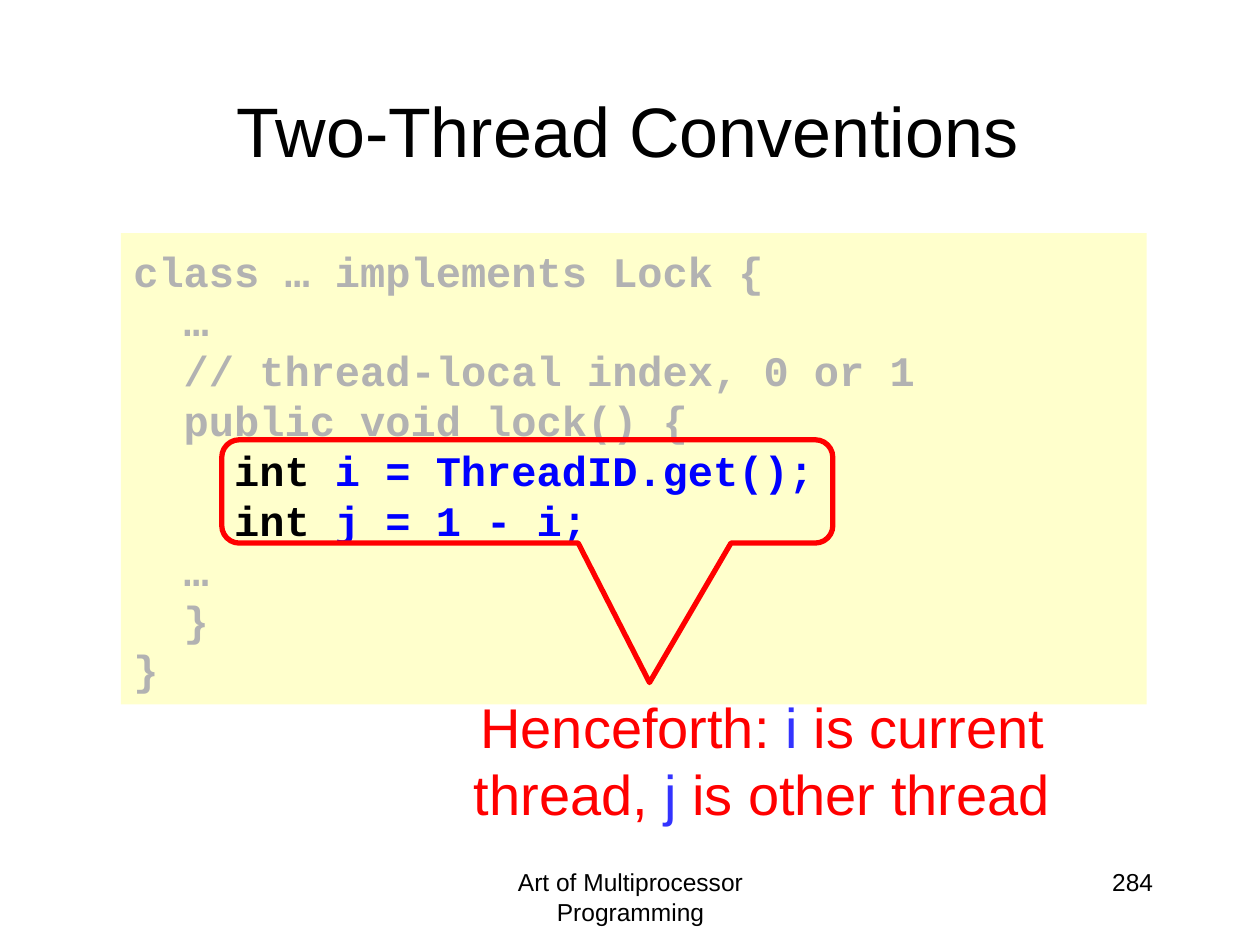
"""Build the Two-Thread Conventions slide."""
from dataclasses import dataclass

import pptx
import pptx.dml.color
import pptx.enum.shapes
import pptx.enum.text
import pptx.util

Inches = pptx.util.Inches
Pt = pptx.util.Pt
RGBColor = pptx.dml.color.RGBColor
Align = pptx.enum.text.PP_ALIGN
Shapes = pptx.enum.shapes.MSO_SHAPE


@dataclass(frozen=True)
class Theme:
    """Colours, fonts and type sizes of the slide."""

    black: RGBColor = RGBColor(0x00, 0x00, 0x00)
    muted: RGBColor = RGBColor(0xB2, 0xB2, 0xB2)
    code: RGBColor = RGBColor(0x00, 0x00, 0xFF)
    variable: RGBColor = RGBColor(0x33, 0x33, 0xFF)
    accent: RGBColor = RGBColor(0xFF, 0x00, 0x00)
    panel: RGBColor = RGBColor(0xFF, 0xFF, 0xCC)
    sans: str = "Arial"
    mono: str = "Courier New"
    title_size: float = 40
    note_size: float = 32
    code_size: float = 24
    footer_size: float = 14


THEME = Theme()

CODE_LINES = [
    [("class … implements Lock {", THEME.muted)],
    [("  …", THEME.muted)],
    [("  // thread-local index, 0 or 1", THEME.muted)],
    [("  public void lock() {", THEME.muted)],
    [("    int", THEME.black), (" i = ThreadID.get();", THEME.code)],
    [("    int ", THEME.black), ("j = 1 - i;", THEME.code)],
    [("  …", THEME.muted)],
    [("  }", THEME.muted)],
    [("}", THEME.muted)],
]

NOTE = [
    ("Henceforth: ", THEME.accent),
    ("i", THEME.variable),
    (" is current thread, ", THEME.accent),
    ("j", THEME.variable),
    (" is other thread", THEME.accent),
]


def place(shape, left, top, width, height):
    """Set the position and size of a shape in inches."""
    shape.left, shape.top = Inches(left), Inches(top)
    shape.width, shape.height = Inches(width), Inches(height)


def write_paragraph(paragraph, pieces, size, font_name, alignment, bold=False, spacing=None):
    """Fill a paragraph with coloured pieces of text."""
    paragraph.alignment = alignment
    if spacing:
        paragraph.line_spacing = Pt(spacing)
    paragraph.font.size = Pt(size)
    paragraph.font.name = font_name
    paragraph.font.bold = bold
    for text, color in pieces:
        run = paragraph.add_run()
        run.text = text
        run.font.color.rgb = color


def add_title(slide, text):
    """Write the title in its placeholder."""
    title = slide.shapes.title
    place(title, 0.73, 0.4, 8.5, 1.25)
    title.text_frame.vertical_anchor = pptx.enum.text.MSO_ANCHOR.MIDDLE
    write_paragraph(title.text_frame.paragraphs[0], [(text, THEME.black)],
                    THEME.title_size, THEME.sans, Align.CENTER)


def add_text(slide, box, pieces, size, alignment, spacing):
    """Add a wrapped one-paragraph text box."""
    frame = slide.shapes.add_textbox(*map(Inches, box)).text_frame
    frame.word_wrap = True
    write_paragraph(frame.paragraphs[0], pieces, size, THEME.sans, alignment, spacing=spacing)


def add_code_panel(slide, box, lines):
    """Add the filled panel that holds the code listing."""
    panel = slide.shapes.add_shape(Shapes.RECTANGLE, *map(Inches, box))
    panel.shadow.inherit = False
    panel.fill.solid()
    panel.fill.fore_color.rgb = THEME.panel
    panel.line.fill.background()
    frame = panel.text_frame
    frame.word_wrap = True
    frame.vertical_anchor = pptx.enum.text.MSO_ANCHOR.TOP
    frame.margin_top = Inches(0.1)
    for index, pieces in enumerate(lines):
        paragraph = frame.add_paragraph() if index else frame.paragraphs[0]
        write_paragraph(paragraph, pieces, THEME.code_size, THEME.mono,
                        Align.LEFT, bold=True, spacing=28.5)


def add_callout(slide, box, adjustments):
    """Add the outlined callout around the highlighted code."""
    callout = slide.shapes.add_shape(Shapes.ROUNDED_RECTANGULAR_CALLOUT, *map(Inches, box))
    callout.shadow.inherit = False
    callout.fill.background()
    callout.line.color.rgb = THEME.accent
    callout.line.width = Pt(3)
    for index, value in enumerate(adjustments):
        callout.adjustments[index] = value


def main():
    """Build and save the presentation."""
    presentation = pptx.Presentation()
    presentation.slide_width, presentation.slide_height = Inches(10), Inches(7.5)
    slide = presentation.slides.add_slide(presentation.slide_layouts[5])
    add_text(slide, (3.42, 6.83, 3.17, 0.5),
             [("Art of Multiprocessor Programming", THEME.black)],
             THEME.footer_size, Align.CENTER, 17)
    add_text(slide, (7.17, 6.83, 2.08, 0.5), [("284", THEME.black)],
             THEME.footer_size, Align.RIGHT, 17)
    add_code_panel(slide, (0.96, 1.85, 8.14, 3.74), CODE_LINES)
    add_title(slide, "Two-Thread Conventions")
    add_callout(slide, (1.76, 3.49, 4.85, 0.82), (0.2, 1.85, 0.17))
    add_text(slide, (3.06, 5.45, 5.98, 1.17), NOTE, THEME.note_size, Align.CENTER, 38.3)
    presentation.save("out.pptx")


if __name__ == "__main__":
    main()
